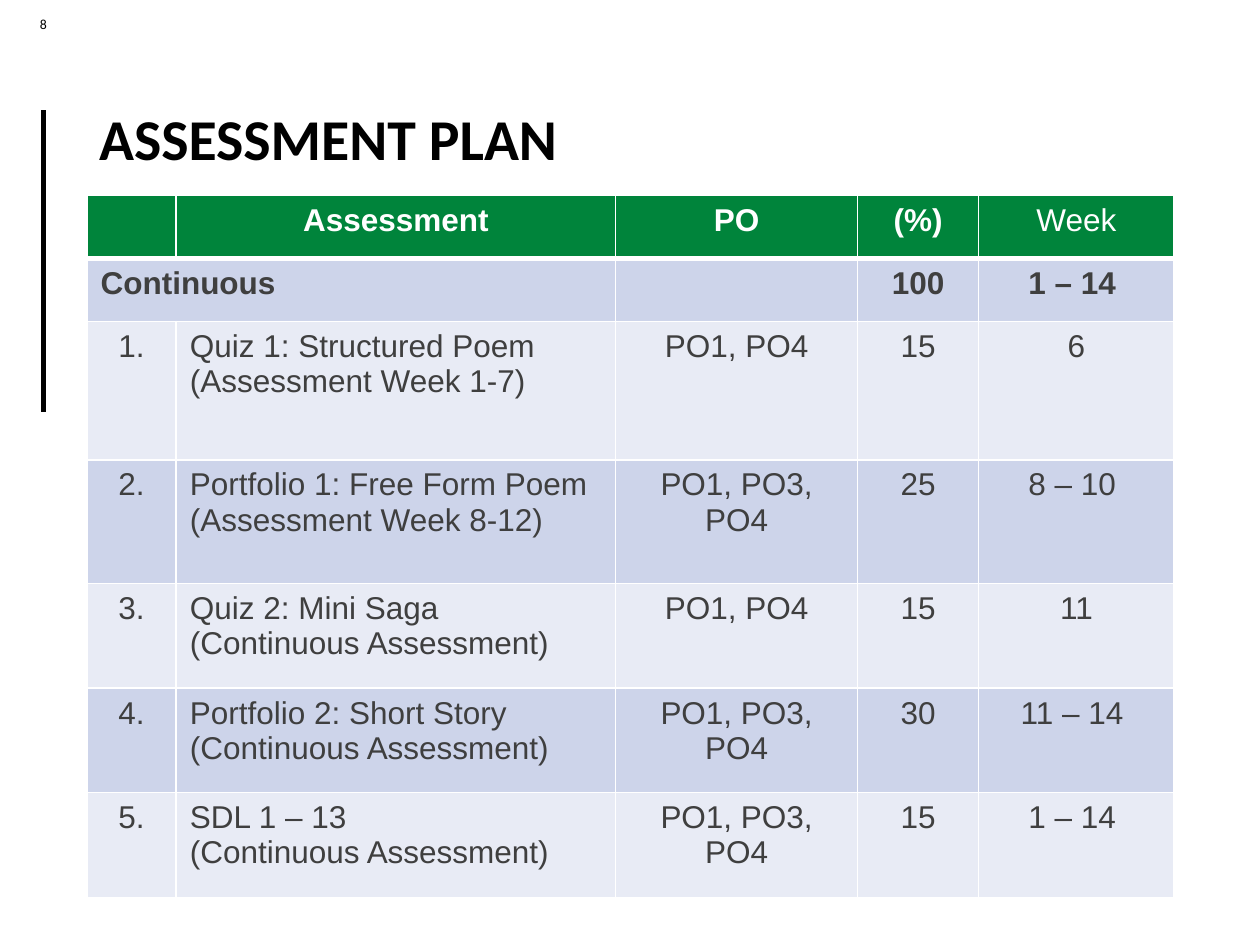
from dataclasses import dataclass

from lxml.etree import SubElement
from pptx import Presentation
from pptx.dml.color import RGBColor
from pptx.enum.shapes import MSO_CONNECTOR as Connector
from pptx.enum.text import MSO_ANCHOR as Anchor, PP_ALIGN as Align
from pptx.oxml.ns import qn
from pptx.util import Cm, Pt

GREEN, LAVENDER, PALE = "00843B", "CDD4EA", "E8EBF5"
WHITE, BLACK, GREY = "FFFFFF", "000000", "3F3F3F"
COLUMN_WIDTHS = (1.8, 8.86, 4.88, 2.44, 3.94)


@dataclass(frozen=True)
class PlanRow:
    texts: tuple[str, ...]
    height: float
    fill: str
    color: str = GREY
    bold: tuple[bool, ...] = (False,) * 5
    first_align: Align = Align.CENTER
    name_align: Align = Align.JUSTIFY
    top_line: float = 1
    bottom_line: float = 1


PLAN = (
    PlanRow(("", "Assessment", "PO", "(%)", "Week"), 1.27, GREEN, WHITE,
            bold=(True, True, True, True, False), name_align=Align.CENTER, bottom_line=3),
    PlanRow(("Continuous", "", "", "100", "1 – 14 "), 1.27, LAVENDER,
            bold=(True,) * 5, first_align=Align.LEFT, top_line=3),
    PlanRow(("1.", "Quiz 1: Structured Poem \n(Assessment Week 1-7)",
             "PO1, PO4", "15", "6"), 2.79, PALE),
    PlanRow(("2.", "Portfolio 1: Free Form Poem \n(Assessment Week 8-12)",
             "PO1, PO3, PO4", "25", "8 – 10 "), 2.49, LAVENDER),
    PlanRow(("3.", "Quiz 2: Mini Saga\v(Continuous Assessment)",
             "PO1, PO4", "15", "11"), 2.11, PALE, name_align=Align.LEFT),
    PlanRow(("4.", "Portfolio 2: Short Story\n(Continuous Assessment)",
             "PO1, PO3, PO4", "30", "11 – 14 "), 2.11, LAVENDER),
    PlanRow(("5.", "SDL 1 – 13\n(Continuous Assessment)",
             "PO1, PO3, PO4", "15", "1 – 14 "), 2.11, PALE),
)


def rgb(value: str) -> RGBColor:
    return RGBColor.from_string(value)


def write(frame, text: str, *, size: float, font: str, color: str, bold: bool = False,
          align: Align = Align.LEFT, spacing: float | None = None) -> None:
    frame.text = text
    frame.word_wrap = True
    for para in frame.paragraphs:
        para.alignment = align
        para.line_spacing = spacing
        for span in para.runs:
            span.font.size = Pt(size)
            span.font.name = font
            span.font.bold = bold
            span.font.color.rgb = rgb(color)


def add_text(page, left: float, top: float, width: float, height: float,
             text: str, anchor: Anchor = Anchor.TOP, **style) -> None:
    box = page.shapes.add_textbox(Cm(left), Cm(top), Cm(width), Cm(height))
    box.text_frame.vertical_anchor = anchor
    write(box.text_frame, text, **style)


def add_rule(page, left: float, top: float, bottom: float) -> None:
    rule = page.shapes.add_connector(Connector.STRAIGHT, Cm(left), Cm(bottom), Cm(left), Cm(top))
    rule.line.color.rgb = rgb(BLACK)
    rule.line.width = Pt(3)
    SubElement(rule._element.spPr, qn("a:effectLst"))


def add_borders(cell, row: PlanRow) -> None:
    properties = cell._tc.get_or_add_tcPr()
    widths = {"L": 1, "R": 1, "T": row.top_line, "B": row.bottom_line}
    for side, width in widths.items():
        line = SubElement(properties, qn(f"a:ln{side}"), w=str(Pt(width)))
        SubElement(SubElement(line, qn("a:solidFill")), qn("a:srgbClr"), val=WHITE)


def add_plan(page, left: float, top: float) -> None:
    heights = [row.height for row in PLAN]
    table = page.shapes.add_table(len(PLAN), len(COLUMN_WIDTHS), Cm(left), Cm(top),
                                  Cm(sum(COLUMN_WIDTHS)), Cm(sum(heights))).table
    for column, width in zip(table.columns, COLUMN_WIDTHS):
        column.width = Cm(width)
    for row, line in zip(PLAN, table.rows):
        line.height = Cm(row.height)
        aligns = (row.first_align, row.name_align) + (Align.CENTER,) * 3
        for cell, text, bold, align in zip(line.cells, row.texts, row.bold, aligns):
            add_borders(cell, row)
            cell.fill.solid()
            cell.fill.fore_color.rgb = rgb(row.fill)
            cell.margin_left = cell.margin_right = Cm(0.28)
            cell.margin_top = cell.margin_bottom = Cm(0.15)
            write(cell.text_frame, text, size=18, font="Arial",
                  color=row.color, bold=bold, align=align)
    table.cell(1, 0).merge(table.cell(1, 1))


def main() -> None:
    """Build the assessment plan slide."""
    deck = Presentation()
    deck.slide_width, deck.slide_height = Cm(25.4), Cm(19.05)
    page = deck.slides.add_slide(deck.slide_layouts[6])
    add_rule(page, 0.87, 2.21, 8.3)
    add_text(page, 0.33, 0.2, 1.09, 0.69, "8", size=7.9, font="Calibri",
             color=BLACK, align=Align.CENTER)
    add_text(page, 1.75, 1.02, 21.9, 3.68, "ASSESSMENT PLAN", Anchor.MIDDLE, size=33,
             font="Calibri", color=BLACK, bold=True, spacing=0.9)
    add_plan(page, 1.75, 3.94)
    deck.save("out.pptx")


if __name__ == "__main__":
    main()
